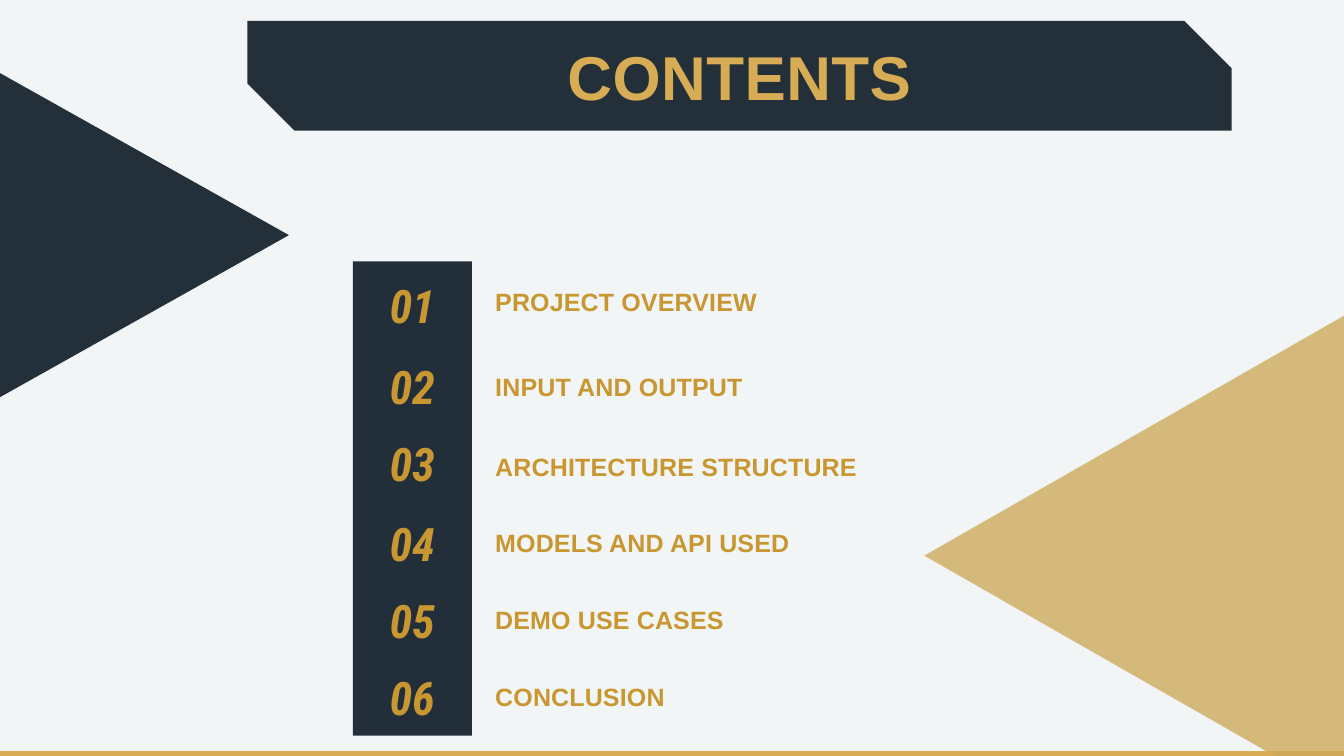
from lxml import etree
from pptx import Presentation
from pptx.dml import color as col
from pptx.enum import shapes as shp, text as txt
from pptx.oxml import ns
from pptx.util import Cm, Pt

HUES = {"page": "F2F5F5", "gold": "D7AC54", "sand": "CDA95B",
        "navy": "233039", "panel": "222F3A", "ochre": "C99731"}

ROWS = [
    ("PROJECT OVERVIEW", 0.61, 0.97, 13.54, 1.63),
    ("INPUT AND OUTPUT", 3.68, 4.17, 13.54, 1.63),
    ("ARCHITECTURE STRUCTURE", 6.58, 7.19, 22.91, 1.88),
    ("MODELS AND API USED", 9.6, 10.06, 12.55, 1.63),
    ("DEMO USE CASES", 12.52, 12.98, 12.55, 1.63),
    ("CONCLUSION", 15.42, 15.88, 12.55, 1.63),
]


def rgb(hue):
    return col.RGBColor.from_string(HUES[hue])


def draw(slide, kind, box, hue, turn=0, alpha=None):
    shape = slide.shapes.add_shape(kind, *map(Cm, box))
    shape.shadow.inherit = False
    shape.fill.solid()
    shape.fill.fore_color.rgb = rgb(hue)
    shape.line.fill.background()
    shape.rotation = turn
    if alpha:
        tint = shape.fill._xPr.find(".//" + ns.qn("a:srgbClr"))
        etree.SubElement(tint, ns.qn("a:alpha")).set("val", str(alpha * 1000))
    return shape


def write(frame, words, font, size, lead, hue, align, slant=None, track=0, inset=0):
    frame.word_wrap = True
    frame.margin_left = frame.margin_right = Cm(inset)
    frame.margin_top = frame.margin_bottom = Cm(inset)
    frame.text = words
    para = frame.paragraphs[0]
    para.alignment = align
    para.line_spacing = Pt(lead)
    run = para.runs[0]
    run.font.name = font
    run.font.size = Pt(size)
    run.font.bold = True
    run.font.italic = slant
    run.font.color.rgb = rgb(hue)
    if track:
        run._r.get_or_add_rPr().set("spc", str(track))


def add_decor(slide, box):
    left, top, width, height = box
    rule = 0.18
    draw(slide, shp.MSO_SHAPE.RECTANGLE,
         (left, top + height - rule, width, rule), "gold")
    wedge = shp.MSO_SHAPE.ISOSCELES_TRIANGLE
    draw(slide, wedge, (left - 17.81, top - 4.65, 30.38, 27.08), "navy", 90)
    draw(slide, wedge, (left + 32.66, top + 5.13, 36.3, 31.75), "sand", 270, 79)


def add_title(slide, box):
    banner = draw(slide, shp.MSO_SHAPE.SNIP_2_DIAG_RECTANGLE, box, "navy")
    banner.adjustments[0] = 0
    banner.adjustments[1] = 0.43
    frame = banner.text_frame
    frame.vertical_anchor = txt.MSO_ANCHOR.MIDDLE
    write(frame, "CONTENTS", "Arial", 66.3, 79.5, "gold",
          txt.PP_ALIGN.CENTER, track=50, inset=0.23)


def add_list(slide, box):
    left, top, width, height = box
    draw(slide, shp.MSO_SHAPE.RECTANGLE, box, "panel")
    for num, (label, high, low, wide, tall) in enumerate(ROWS, 1):
        digit = slide.shapes.add_textbox(
            Cm(left + 0.73), Cm(top + high), Cm(3.02), Cm(2.08))
        write(digit.text_frame, f"{num:02}", "Roboto Condensed", 49.4, 59.3,
              "ochre", txt.PP_ALIGN.CENTER, slant=True)
        digit.text_frame.auto_size = txt.MSO_AUTO_SIZE.SHAPE_TO_FIT_TEXT
        item = slide.shapes.add_textbox(
            Cm(left + width + 0.88), Cm(top + low), Cm(wide), Cm(tall))
        write(item.text_frame, label, "Arial", 26.8, 32.1,
              "ochre", txt.PP_ALIGN.LEFT, track=20)


def main():
    deck = Presentation()
    deck.slide_width, deck.slide_height = Cm(50.8), Cm(28.58)
    slide = deck.slides.add_slide(deck.slide_layouts[6])
    slide.background.fill.solid()
    slide.background.fill.fore_color.rgb = rgb("page")
    add_decor(slide, (0, 0, 50.8, 28.58))
    add_title(slide, (9.35, 0.79, 37.2, 4.15))
    add_list(slide, (13.34, 9.88, 4.5, 17.93))
    deck.save("out.pptx")


if __name__ == "__main__":
    main()
